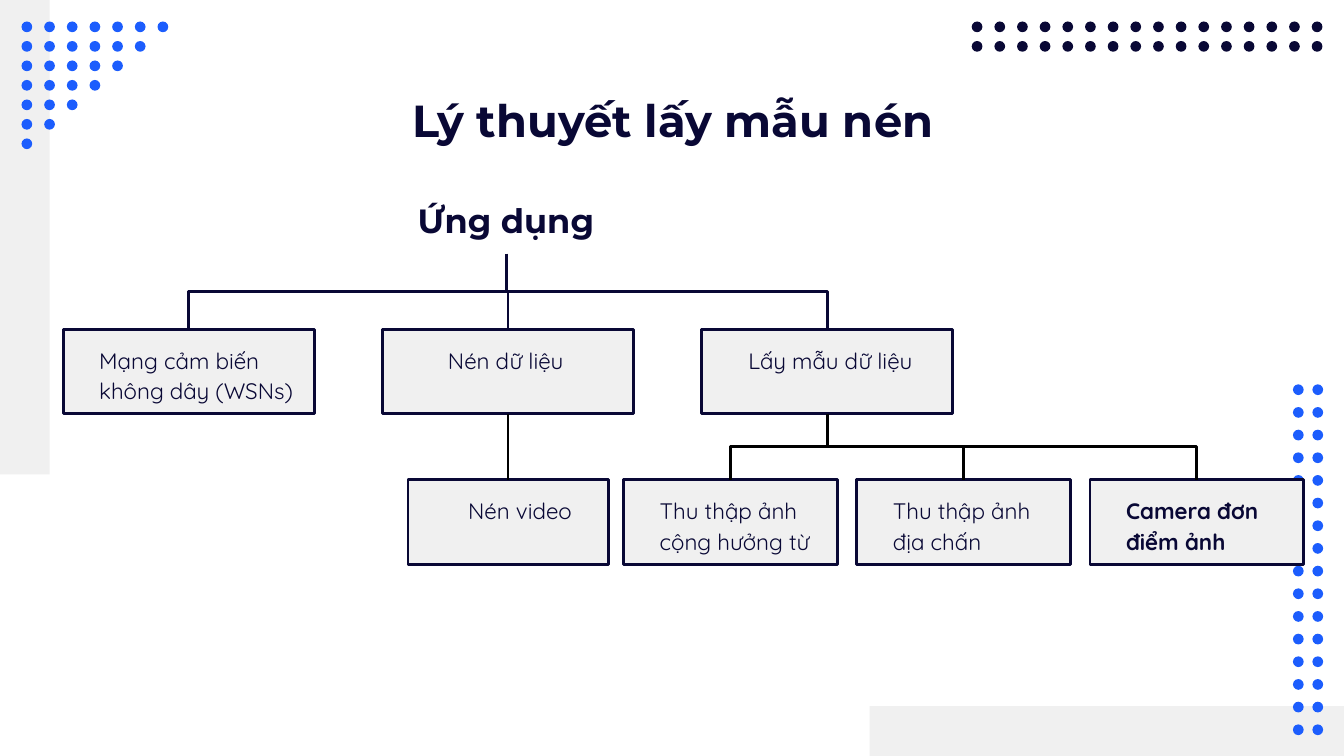
from pptx import Presentation
from pptx import util as u
from pptx.dml import color
from pptx.enum import shapes, text
from pptx.oxml import ns, xmlchemy

WIDTH = 10
HEIGHT = WIDTH * 9 / 16
NAVY, BLUE, GREY, BLACK = "090835", "1C5DFD", "F0F0F0", "000000"
DOT, LONG_GAP, SHORT_GAP = 0.08, 2.53 / 15, 0.87 / 6
BAND_LENGTH, BAND_DEPTH = 3.53, 0.37
ROW_TOP, ROW_PITCH, BOX_HEIGHT = 2.45, 1.12, 0.63
TOPIC_LEFT, TOPIC_PITCH, TOPIC_WIDTH = 0.47, 4.75 / 2, 1.87
LEAF_LEFT, LEAF_PITCH, LEAF_WIDTH = 4.64, 3.47 / 2, 1.59
VIDEO_WIDTH = 1.49
ROOT_X, ROOT_BOTTOM = 3.77, 1.89
TOPICS = [("Mạng cảm biến không dây (WSNs)", 0.17), ("Nén dữ liệu", 0.39), ("Lấy mẫu dữ liệu", 0.25)]
LEAVES = [("Thu thập ảnh cộng hưởng từ", False), ("Thu thập ảnh địa chấn", False), ("Camera đơn điểm ảnh", True)]


def rgb(value):
    """Turn a hex string into a colour."""
    return color.RGBColor.from_string(value)


def add_filled(page, kind, left, top, width, height, fill):
    """Add a flat preset shape without an outline."""
    shape = page.shapes.add_shape(kind, *map(u.Inches, (left, top, width, height)))
    shape.shadow.inherit = False
    shape.fill.solid()
    shape.fill.fore_color.rgb = rgb(fill)
    shape.line.fill.background()
    return shape


def add_dots(page, left, top, row_lengths, gap_x, gap_y, fill):
    """Add rows of dots, one row for each length."""
    for row, length in enumerate(row_lengths):
        for column in range(length):
            add_filled(page, shapes.MSO_SHAPE.OVAL, left + column * gap_x,
                       top + row * gap_y, DOT, DOT, fill)


def write(shape, wording, size, face, bold, align, anchor):
    """Write one navy paragraph into a shape and return it."""
    frame = shape.text_frame
    frame.word_wrap = True
    frame.vertical_anchor = anchor
    frame.margin_left = frame.margin_right = u.Inches(0.1)
    frame.margin_top = frame.margin_bottom = u.Inches(0.1)
    para = frame.paragraphs[0]
    para.text = wording
    para.alignment = align
    para.font.size = u.Pt(size)
    para.font.name = face
    para.font.bold = bold
    para.font.color.rgb = rgb(NAVY)
    return para


def add_heading(page, place, wording, size, align, anchor):
    """Add a bold heading as a text box."""
    box = page.shapes.add_textbox(*map(u.Inches, place))
    write(box, wording, size, "Montserrat", True, align, anchor)


def add_node(page, left, row, width, wording, indent=0.17, bold=False):
    """Add an outlined tree box and return its centre, top and bottom."""
    top = ROW_TOP + row * ROW_PITCH
    box = add_filled(page, shapes.MSO_SHAPE.RECTANGLE, left, top, width, BOX_HEIGHT, GREY)
    box.line.color.rgb = rgb(NAVY)
    box.line.width = u.Pt(1.5)
    para = write(box, wording, 12, "Quicksand", bold, text.PP_ALIGN.LEFT, text.MSO_ANCHOR.TOP)
    para.line_spacing = 1.15
    properties = para._p.get_or_add_pPr()
    properties.set("marL", str(u.Inches(indent)))
    properties.set("indent", "0")
    return left + width / 2, top, top + BOX_HEIGHT


def add_branch(page, start_x, start_y, end_x, end_y, stroke):
    """Join a parent to a child below it, turning an elbow to run downwards first."""
    across, down = end_x - start_x, end_y - start_y
    if abs(across) < 0.01 / 2:
        kind, ends, turn = shapes.MSO_CONNECTOR.STRAIGHT, (start_x, start_y, start_x, end_y), 0
    else:
        side = 1 if across > 0 else -1
        middle_x, middle_y = (start_x + end_x) / 2, (start_y + end_y) / 2
        reach, drop = abs(across) / 2, side * down / 2
        kind, turn = shapes.MSO_CONNECTOR.ELBOW, 270 if side > 0 else 90
        ends = (middle_x + drop, middle_y - reach, middle_x - drop, middle_y + reach)
    line = page.shapes.add_connector(kind, *map(u.Inches, ends))
    line.line.color.rgb = rgb(stroke)
    line.line.width = u.Pt(1.5)
    properties = line._element.spPr
    properties.append(xmlchemy.OxmlElement("a:effectLst"))
    if turn:
        properties.find(ns.qn("a:xfrm")).set("rot", str(turn * 60000))


def add_decoration(page):
    """Add the grey bands and the dot patterns at the edges."""
    band = shapes.MSO_SHAPE.RECTANGLE
    add_filled(page, band, 0, 0, BAND_DEPTH, BAND_LENGTH, GREY)
    add_filled(page, band, WIDTH - BAND_LENGTH, HEIGHT - BAND_DEPTH, BAND_LENGTH, BAND_DEPTH, GREY)
    add_dots(page, 0.16, 0.16, range(7, 0, -1), LONG_GAP, SHORT_GAP, BLUE)
    add_dots(page, 7.23, 0.16, [16] * 2, LONG_GAP, SHORT_GAP, NAVY)
    add_dots(page, 9.62, 2.86, [2] * 16, SHORT_GAP, LONG_GAP, BLUE)


def add_tree(page):
    """Add the boxes of the tree and the branches between them."""
    topics = [add_node(page, TOPIC_LEFT + i * TOPIC_PITCH, 0, TOPIC_WIDTH, wording, indent)
              for i, (wording, indent) in enumerate(TOPICS)]
    leaves = [add_node(page, LEAF_LEFT + i * LEAF_PITCH, 1, LEAF_WIDTH, wording, bold=bold)
              for i, (wording, bold) in enumerate(LEAVES)]
    data, sampling = topics[1:]
    video = add_node(page, data[0] - VIDEO_WIDTH / 2, 1, VIDEO_WIDTH, "Nén video", 0.35)
    for centre, top, _ in topics:
        add_branch(page, ROOT_X, ROOT_BOTTOM, centre, top, NAVY)
    for parent, child in [(data, video)] + [(sampling, leaf) for leaf in leaves]:
        add_branch(page, parent[0], parent[2], child[0], child[1], BLACK)


def main():
    """Build the slide and save it."""
    deck = Presentation()
    deck.slide_width, deck.slide_height = u.Inches(WIDTH), u.Inches(HEIGHT)
    page = deck.slides.add_slide(deck.slide_layouts[6])
    add_decoration(page)
    add_heading(page, (3.01, 1.39, 1.54, 0.5), "Ứng dụng", 18,
                text.PP_ALIGN.LEFT, text.MSO_ANCHOR.BOTTOM)
    add_heading(page, (0.79, 0.59, 8.43, 0.63), "Lý thuyết lấy mẫu nén", 24,
                text.PP_ALIGN.CENTER, text.MSO_ANCHOR.TOP)
    add_tree(page)
    deck.save("out.pptx")


if __name__ == "__main__":
    main()
